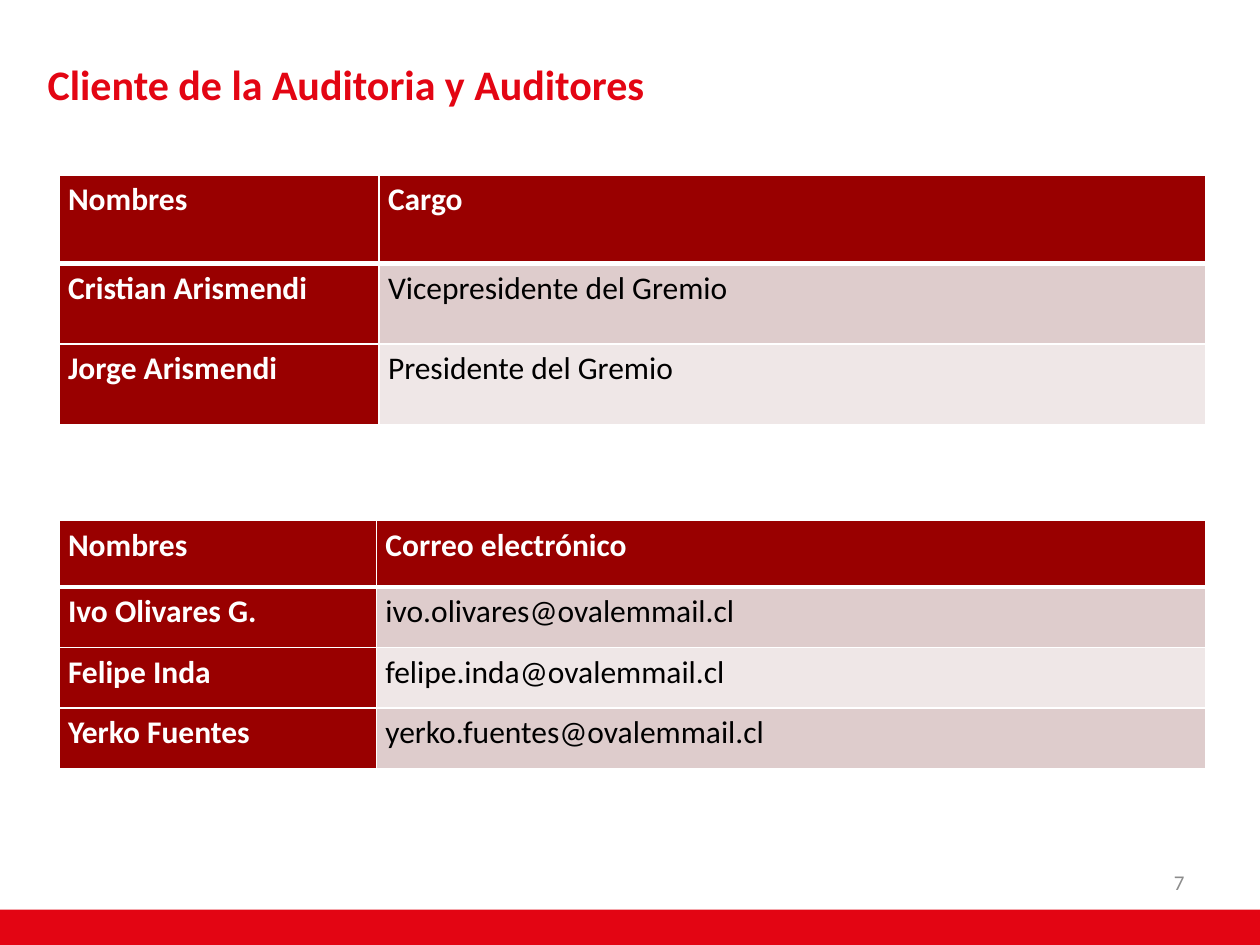
"""Build the slide that lists the audit clients and the auditors."""
from lxml import etree
from pptx import Presentation
from pptx.dml.color import RGBColor
from pptx.enum.shapes import MSO_SHAPE
from pptx.enum.text import MSO_ANCHOR, PP_ALIGN
from pptx.oxml.ns import qn
from pptx.util import Inches, Pt

RECTANGLE = MSO_SHAPE.RECTANGLE
MIDDLE = MSO_ANCHOR.MIDDLE
LEFT, RIGHT, JUSTIFY = PP_ALIGN.LEFT, PP_ALIGN.RIGHT, PP_ALIGN.JUSTIFY
COLORS = {
    "red": "E30513",
    "dark_red": "990000",
    "band_dark": "DECCCC",
    "band_light": "EFE7E7",
    "white": "FFFFFF",
    "black": "000000",
    "gray": "8C8C8C",
}
FONT = "Calibri"
TABLE_LEFT = 0.47
CELL_PARAGRAPH = {"alignment": JUSTIFY, "line_spacing": 1.15, "space_after": Pt(10)}
CELL_MARGINS = {
    "margin_left": Inches(0.07),
    "margin_right": Inches(0.07),
    "margin_top": 0,
    "margin_bottom": 0,
}
CLIENTS = [
    ("Nombres", "Cargo"),
    ("Cristian Arismendi", "Vicepresidente del Gremio"),
    ("Jorge Arismendi", "Presidente del Gremio"),
]
AUDITORS = [
    ("Nombres", "Correo electrónico"),
    ("Ivo Olivares G.", "ivo.olivares@ovalemmail.cl"),
    ("Felipe Inda", "felipe.inda@ovalemmail.cl"),
    ("Yerko Fuentes", "yerko.fuentes@ovalemmail.cl"),
]


def apply_format(target, values):
    """Set every attribute in values on target."""
    for attribute, value in values.items():
        setattr(target, attribute, value)


def set_fill(fill, color):
    """Give a fill one solid colour."""
    fill.solid()
    fill.fore_color.rgb = RGBColor.from_string(COLORS[color])


def write_text(frame, text, size, color, bold, paragraph_format):
    """Write one formatted paragraph in a text frame."""
    paragraph = frame.paragraphs[0]
    apply_format(paragraph, paragraph_format)
    run = paragraph.add_run()
    run.text = text
    apply_format(run.font, {"name": FONT, "size": Pt(size), "bold": bold})
    run.font.color.rgb = RGBColor.from_string(COLORS[color])


def add_label(slide, box, text, size, color, bold, alignment):
    """Add a vertically centred line of text."""
    frame = slide.shapes.add_textbox(*map(Inches, box)).text_frame
    apply_format(frame, {"word_wrap": True, "vertical_anchor": MIDDLE})
    write_text(frame, text, size, color, bold, {"alignment": alignment})


def add_footer_band(slide):
    """Add the red band along the bottom edge."""
    band = slide.shapes.add_shape(
        RECTANGLE, 0, Inches(7.22), Inches(10), Inches(0.28))
    band.shadow.inherit = False
    set_fill(band.fill, "red")
    band.line.fill.background()


def set_borders(cell, widths):
    """Draw white cell borders with the given widths in points."""
    properties = cell._tc.get_or_add_tcPr()
    for position, (side, width) in enumerate(widths.items()):
        line = etree.Element(qn(f"a:ln{side}"), w=str(Pt(width)))
        fill = etree.SubElement(line, qn("a:solidFill"))
        etree.SubElement(fill, qn("a:srgbClr"), val=COLORS["white"])
        properties.insert(position, line)


def format_cell(cell, text, row, column):
    """Style a cell as a heading or as part of a coloured band."""
    heading = row == 0 or column == 0
    band = "band_dark" if row % 2 else "band_light"
    apply_format(cell, CELL_MARGINS)
    set_fill(cell.fill, "dark_red" if heading else band)
    set_borders(cell, {"L": 1, "R": 1,
                       "T": 3 if row == 1 else 1,
                       "B": 3 if row == 0 else 1})
    write_text(cell.text_frame, text, 18, "white" if heading else "black",
               heading, CELL_PARAGRAPH)


def add_people_table(slide, top, people, column_widths, header_height, row_height):
    """Add a table of names with a heading row and a heading column."""
    heights = [header_height] + [row_height] * (len(people) - 1)
    table = slide.shapes.add_table(
        len(people), len(column_widths), Inches(TABLE_LEFT), Inches(top),
        Inches(sum(column_widths)), Inches(sum(heights))).table
    for column, width in zip(table.columns, column_widths):
        column.width = Inches(width)
    for row_index, (height, texts) in enumerate(zip(heights, people)):
        table.rows[row_index].height = Inches(height)
        for column_index, text in enumerate(texts):
            format_cell(table.cell(row_index, column_index), text,
                        row_index, column_index)


def main():
    """Build and save the slide."""
    deck = Presentation()
    deck.slide_width, deck.slide_height = Inches(10), Inches(7.5)
    slide = deck.slides.add_slide(deck.slide_layouts[6])
    add_footer_band(slide)
    add_label(slide, (0.28, 0.42, 5.75, 0.48),
              "Cliente de la Auditoria y Auditores", 24, "red", True, LEFT)
    add_label(slide, (7.17, 6.88, 2.33, 0.24), "7", 12, "gray", False, RIGHT)
    add_people_table(slide, 1.39, CLIENTS, (2.54, 6.56), 0.7, 0.64)
    add_people_table(slide, 4.13, AUDITORS, (2.52, 6.58), 0.53, 0.48)
    deck.save("out.pptx")


if __name__ == "__main__":
    main()
